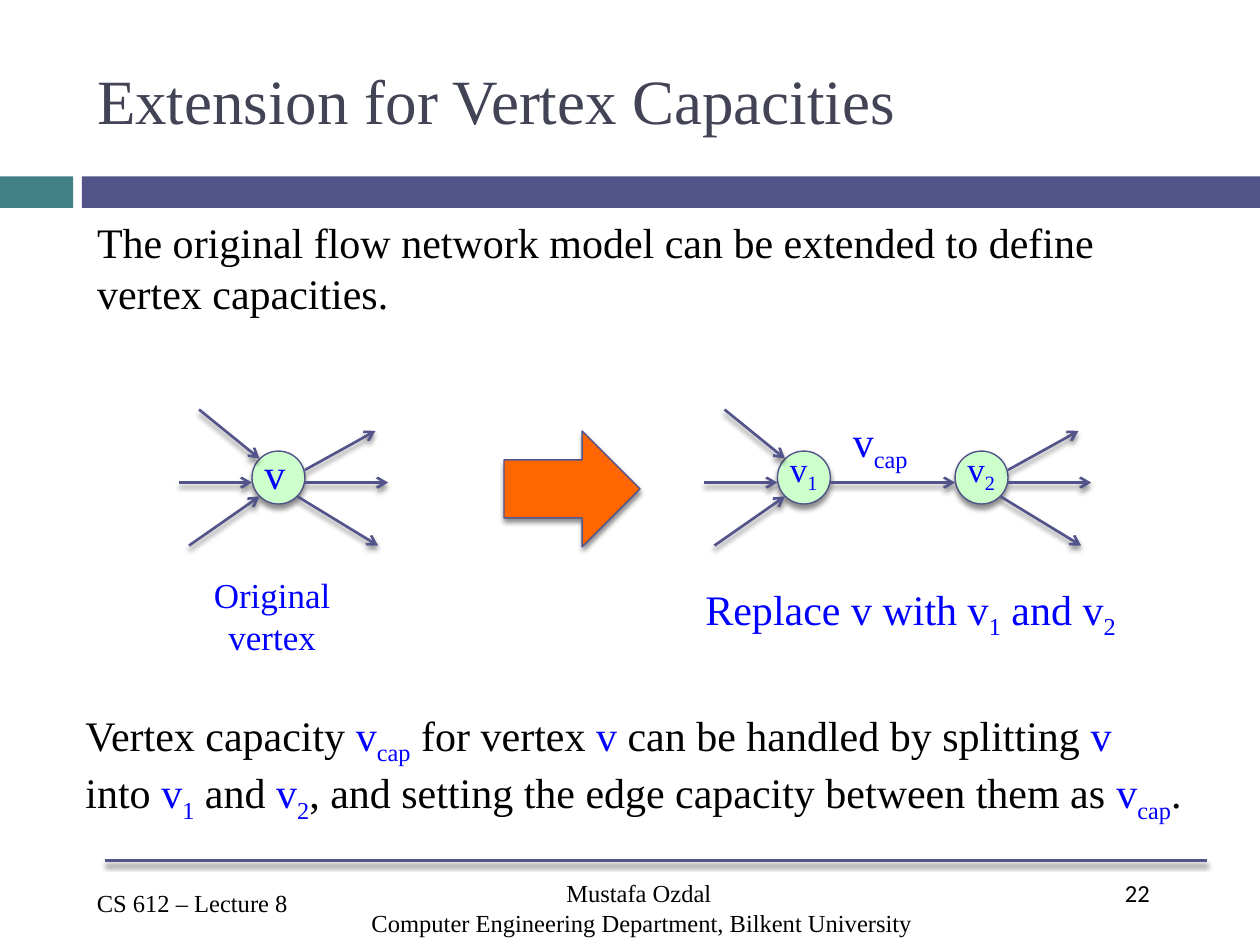
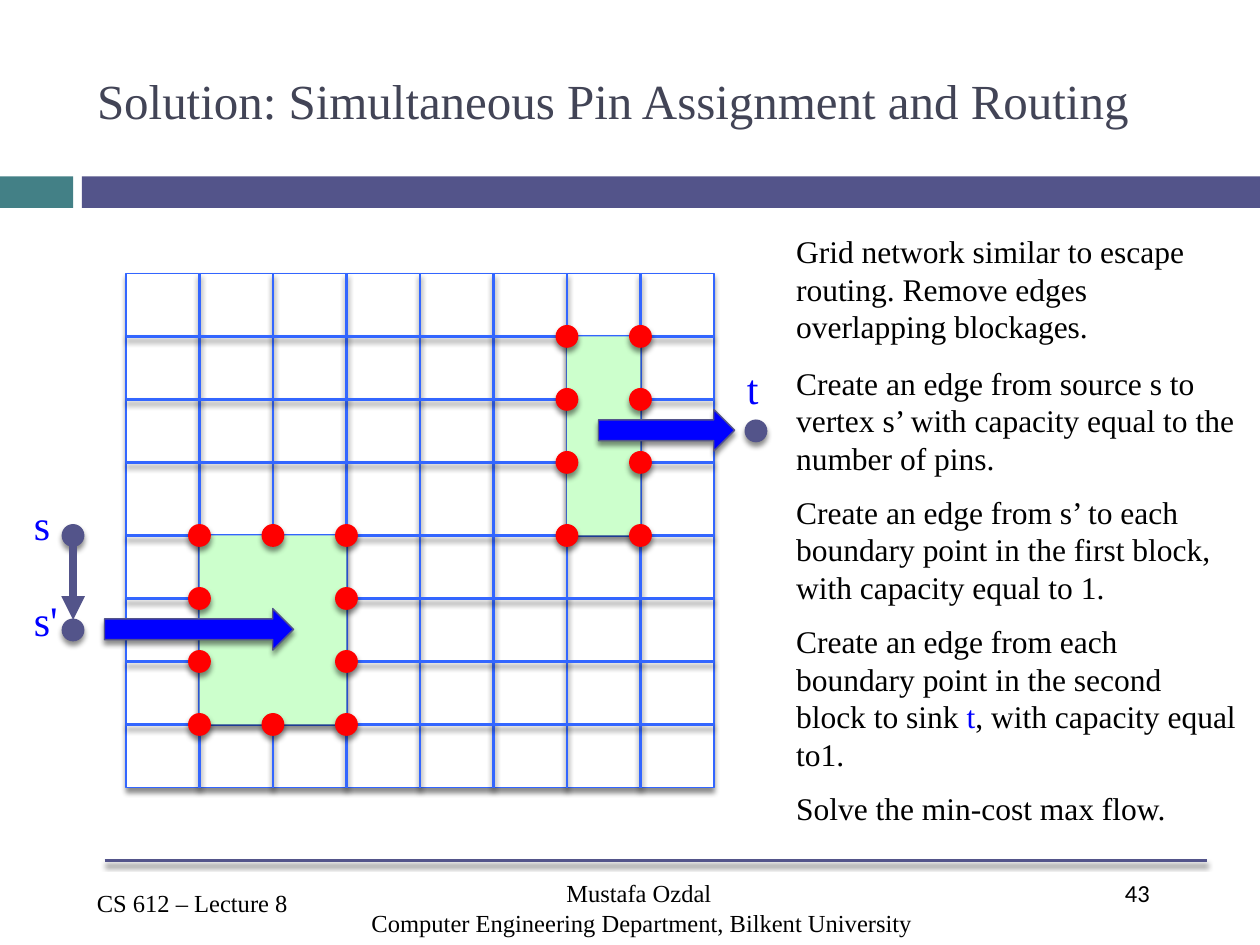
"""Build two lecture slides on network flow: vertex capacities and pin routing."""
from lxml import etree
from pptx import Presentation, util as u
from pptx.dml.color import RGBColor
from pptx.enum import shapes, text
from pptx.oxml.ns import qn

SERIF = "Times New Roman"
INK, HEADING, BLUE, NAVY, TEAL = "000000", "424456", "0000FF", "53548A", "438086"
GREEN, ORANGE, RED, GRID, WHITE = "CCFFCC", "FF6600", "FF0000", "3366FF", "FFFFFF"
SHAPE, CENTER = shapes.MSO_SHAPE, text.PP_ALIGN.CENTER

COURSE = "CS 612 – Lecture 8"
AUTHOR = [["Mustafa Ozdal "], ["Computer Engineering Department, Bilkent University"]]

V, CAP, ONE, TWO = ("v", BLUE), ("cap", BLUE, True), ("1", BLUE, True), ("2", BLUE, True)
INTRO = [["The original flow network model can be extended to define vertex capacities."]]
SUMMARY = [
    ["Vertex capacity ", V, CAP, " for vertex ", V,
     " can be handled by splitting ", ("v ", BLUE)],
    ["into ", V, ONE, " and ", V, TWO,
     ", and setting the edge capacity between them as ", V, CAP, "."],
]
NODE_X, NODE_Y, NODE_SIZE = {"v": 2, "v1": 6.17, "v2": 7.58}, 3.58, 0.42
EDGES_IN = [((-0.42, 3.25), (0.06, 3.64)), ((-0.58, 3.83), (0, 3.83)),
            ((-0.5, 4.33), (0.06, 3.94))]
EDGES_OUT = [((0.42, 3.83), (1.08, 3.83)), ((0.42, 3.73), (0.98, 3.42)),
             ((0.36, 3.94), (1, 4.33))]
VERTEX_LABELS = [
    ((1.59, 4.5, 1.14, 0.77), [[("Original ", BLUE)], [("vertex", BLUE)]], 20, CENTER),
    ((2, 3.5, 0.37, 0.5), [[V]], 24, None),
    ((6.17, 3.5, 0.58, 0.44), [[V, ONE]], 20, None),
    ((7.58, 3.5, 0.45, 0.44), [[V, TWO]], 20, None),
    ((5.5, 4.58, 3.52, 0.5),
     [[("Replace v with v", BLUE), ONE, (" and v", BLUE), ("2 ", BLUE, True)]], 24, None),
    ((6.67, 3.25, 0.68, 0.5), [[V, CAP]], 24, None),
    ((0.58, 5.58, 9.24, 0.91), SUMMARY, 24, None),
]

STEPS = [
    ["Grid network similar to escape routing. Remove edges overlapping blockages."],
    ["Create an edge from source s to vertex s’ with capacity equal to the number of pins.  "],
    ["Create an edge from s’ to each boundary point in the first block, with capacity equal to 1."],
    ["Create an edge from each boundary point in the second block to sink ", ("t", BLUE),
     ", with capacity equal to1."],
    ["Solve the min-cost max flow."],
]
STEP_GAPS = [10.5, 9, 9, 9, 0]
GRID_X = [1 + i * 7 / 12 for i in range(9)]
GRID_Y = [2.17, 2.67, 3.17, 3.67, 4.25, 4.75, 5.25, 5.75, 6.25]
BLOCKS = [(1, 3, 4, 7), (6, 7, 1, 4)]
FLOW_ARROWS = [(0.83, 4.83, 1.5, 0.33), (4.75, 3.25, 1.08, 0.33)]
TERMINALS = [("s", (0.58, 4.25), (0.17, 3.91, 0.33, 0.5)),
             ("s'", (0.58, 5), (0.17, 4.67, 0.39, 0.5)),
             ("t", (6, 3.42), (5.83, 2.83, 0.3, 0.5))]
DOT = 0.17


def rgb(value):
    """Turn a hex string into a colour."""
    return RGBColor.from_string(value)


def inches(values):
    """Turn numbers into lengths."""
    return [u.Inches(v) for v in values]


def set_effect(sp, shadow):
    """Give a shape the soft drop shadow, or no effect at all."""
    effects = etree.SubElement(sp._element.spPr, qn("a:effectLst"))
    if shadow:
        outer = etree.SubElement(effects, qn("a:outerShdw"), blurRad=str(u.Pt(3)),
                                 dist=str(u.Pt(2.4)), dir="5400000", rotWithShape="0")
        color = etree.SubElement(outer, qn("a:srgbClr"), val=INK)
        etree.SubElement(color, qn("a:alpha"), val="45000")


def add_shape(s, kind, box, fill, line=None, shadow=True):
    """Draw a preset shape."""
    sp = s.shapes.add_shape(kind, *inches(box))
    sp.fill.solid()
    sp.fill.fore_color.rgb = rgb(fill)
    if line:
        sp.line.color.rgb = rgb(line)
        sp.line.width = u.Pt(0.79)
    else:
        sp.line.fill.background()
    set_effect(sp, shadow)


def add_dot(s, center, color):
    """Draw a small disc around a point."""
    x, y = center
    add_shape(s, SHAPE.OVAL, (x - DOT / 2, y - DOT / 2, DOT, DOT), color, color)


def add_line(s, start, end, color=NAVY, width=1.5, head=None, shadow=True):
    """Draw a straight line, with an arrowhead at its end if named."""
    c = s.shapes.add_connector(shapes.MSO_CONNECTOR.STRAIGHT, *inches(start + end))
    c.line.color.rgb = rgb(color)
    c.line.width = u.Pt(width)
    if head:
        etree.SubElement(c.line._get_or_add_ln(), qn("a:tailEnd"), type=head)
    set_effect(c, shadow)


def fill_text(tf, paragraphs, size, align=None, color=INK, font=SERIF):
    """Write paragraphs run by run; a run is a string or (text, colour, subscript)."""
    for i, runs in enumerate(paragraphs):
        p = tf.add_paragraph() if i else tf.paragraphs[0]
        p.alignment = align
        for run in runs:
            words, tint, sub = ((run, color) if isinstance(run, str) else run + (False,) * 2)[:3] \
                if not isinstance(run, str) else (run, color, False)
            r = p.add_run()
            r.text = words
            r.font.size, r.font.name = u.Pt(size), font
            r.font.color.rgb = rgb(tint)
            if sub:
                r._r.get_or_add_rPr().set("baseline", "-25000")


def add_text(s, box, paragraphs, size, align=None, wrap=False, grow=True, font=SERIF):
    """Add a text box and return its frame."""
    tf = s.shapes.add_textbox(*inches(box)).text_frame
    tf.word_wrap = wrap
    tf.auto_size = text.MSO_AUTO_SIZE.SHAPE_TO_FIT_TEXT if grow else text.MSO_AUTO_SIZE.NONE
    fill_text(tf, paragraphs, size, align, font=font)
    return tf


def fill_placeholder(sp, box, paragraphs, size, color, anchor):
    """Move a placeholder and write left-aligned text into it."""
    sp.left, sp.top, sp.width, sp.height = inches(box)
    tf = sp.text_frame
    tf.auto_size, tf.vertical_anchor = text.MSO_AUTO_SIZE.NONE, anchor
    fill_text(tf, paragraphs, size, text.PP_ALIGN.LEFT, color)
    return tf


def add_slide(prs, layout, title, size, number):
    """Start a slide with the shared bands, footer and title."""
    s = prs.slides.add_slide(prs.slide_layouts[layout])
    add_shape(s, SHAPE.RECTANGLE, (0, 1.4, 0.58, 0.25), TEAL, shadow=False)
    add_shape(s, SHAPE.RECTANGLE, (0.65, 1.4, 9.35, 0.25), NAVY, shadow=False)
    add_text(s, (8.83, 6.92, 0.75, 0.5), [[number]], 14, wrap=True, grow=False, font="Calibri")
    add_line(s, (0.83, 6.83), (9.58, 6.83))
    add_text(s, (0.67, 7, 1.83, 0.34), [[COURSE]], 14, wrap=True)
    add_text(s, (1.67, 6.92, 6.85, 0.58), AUTHOR, 14, CENTER, wrap=True, grow=False)
    fill_placeholder(s.shapes.title, (0.67, 0.25, 8.92, 1.08), [[title]], size, HEADING,
                     text.MSO_ANCHOR.MIDDLE)
    return s


def vertex_slide(prs):
    """Show a vertex being split in two."""
    s = add_slide(prs, 1, "Extension for Vertex Capacities", 36, "22")
    tf = fill_placeholder(s.placeholders[1], (0.67, 1.67, 8.92, 0.92), INTRO, 24, INK,
                          text.MSO_ANCHOR.TOP)
    p = tf.paragraphs[0]
    p.space_before = u.Pt(7)
    pPr = p._p.get_or_add_pPr()
    pPr.set("marL", "0")
    pPr.set("indent", "0")
    etree.SubElement(pPr, qn("a:buNone"))
    for x in NODE_X.values():
        add_shape(s, SHAPE.OVAL, (x, NODE_Y, NODE_SIZE, NODE_SIZE), GREEN, NAVY)
    for node, edges in (("v", EDGES_IN + EDGES_OUT), ("v1", EDGES_IN), ("v2", EDGES_OUT)):
        x = NODE_X[node]
        for (x1, y1), (x2, y2) in edges:
            add_line(s, (x + x1, y1), (x + x2, y2), head="arrow")
    add_line(s, (NODE_X["v1"] + NODE_SIZE, 3.83), (NODE_X["v2"], 3.83), head="arrow")
    for box, paragraphs, size, align in VERTEX_LABELS:
        add_text(s, box, paragraphs, size, align)
    add_shape(s, SHAPE.RIGHT_ARROW, (4, 3.42, 1.08, 0.92), ORANGE, NAVY)


def routing_slide(prs):
    """Show the routing grid with two blocks and their boundary pins."""
    s = add_slide(prs, 5, "Solution: Simultaneous Pin Assignment and Routing", 28, "43")
    left, right, top, bottom = GRID_X[0], GRID_X[-1], GRID_Y[0], GRID_Y[-1]
    add_shape(s, SHAPE.RECTANGLE, (left, top, right - left, bottom - top), WHITE, GRID)
    for x in GRID_X[1:-1]:
        add_line(s, (x, top), (x, bottom), GRID)
    for y in GRID_Y[1:-1]:
        add_line(s, (left, y), (right, y), GRID)
    tf = add_text(s, (6.22, 1.79, 3.7, 4.91), STEPS, 18, wrap=True)
    for p, gap in zip(tf.paragraphs, STEP_GAPS):
        p.space_after = u.Pt(gap)
    for c1, c2, r1, r2 in BLOCKS:
        x, y = GRID_X[c1], GRID_Y[r1]
        add_shape(s, SHAPE.RECTANGLE, (x, y, GRID_X[c2] - x, GRID_Y[r2] - y), GREEN)
        for c in range(c1, c2 + 1):
            for r in range(r1, r2 + 1):
                if c in (c1, c2) or r in (r1, r2):
                    add_dot(s, (GRID_X[c], GRID_Y[r]), RED)
    for box in FLOW_ARROWS:
        add_shape(s, SHAPE.RIGHT_ARROW, box, BLUE, NAVY)
    for name, center, box in TERMINALS:
        add_dot(s, center, NAVY)
        add_text(s, box, [[(name, BLUE)]], 24)
    add_line(s, (0.58, 4.33), (0.58, 4.92), width=4.5, head="triangle", shadow=False)


prs = Presentation()
prs.slide_width, prs.slide_height = inches((10, 7.5))
vertex_slide(prs)
routing_slide(prs)
prs.save("out.pptx")
